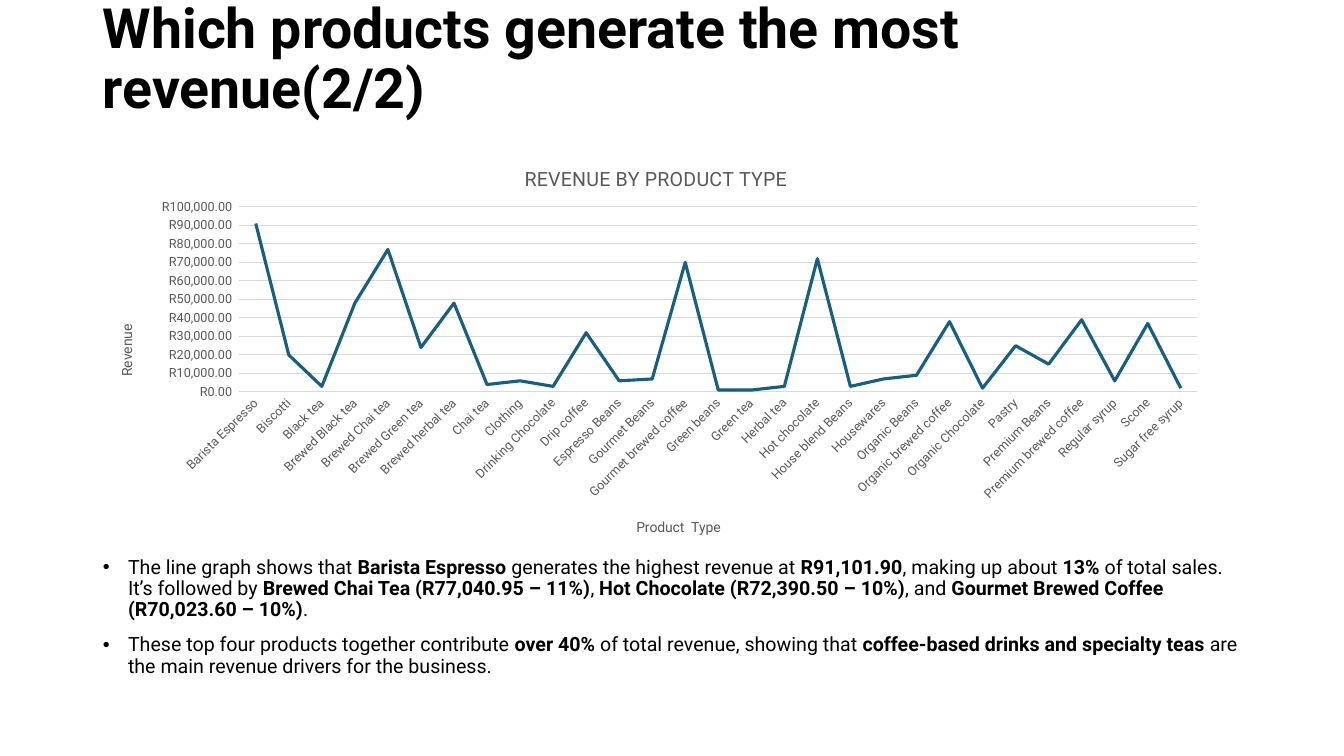
from dataclasses import dataclass
from typing import Any

import lxml.etree
import pptx
import pptx.chart.data
import pptx.dml.color
import pptx.enum.chart
import pptx.enum.text
import pptx.oxml
import pptx.oxml.ns
import pptx.util

WIDE, HIGH = 13.33, 7.5
FACE = "Roboto"
BLACK, GREY, PALE, BLUE = "000000", "595959", "D9D9D9", "156082"


@dataclass(frozen=True)
class Box:
    """Place and size in percent of the slide."""
    left: float
    top: float
    width: float
    height: float

    def lengths(self) -> list[int]:
        return [pptx.util.Inches(share * side / 100) for share, side in
                ((self.left, WIDE), (self.top, HIGH), (self.width, WIDE), (self.height, HIGH))]


@dataclass(frozen=True)
class Label:
    """Chart caption, placed in shares of the chart."""
    text: str
    size: float
    left: float
    top: float
    turn: int = 0


TITLE = "Which products generate the most revenue(2/2)"
TITLE_BOX = Box(6.9, 5.33, 86.25, 13.33)
CHART_BOX = Box(6.9, 18.67, 83.87, 54.4)
BODY_BOX = Box(6.9, 73.07, 86.25, 21.6)

HEAD = Label("REVENUE BY PRODUCT TYPE", 14, 0.38, 0.05)
TYPE = Label("Product  Type", 10, 0.48, 0.91)
MONEY = Label("Revenue", 10, 0.02, 0.44, -90)

# Every second piece of a point is bold
POINTS = [
    ["The line graph shows that ", "Barista Espresso",
     " generates the highest revenue at ", "R91,101.90",
     ", making up about ", "13%", " of total sales. It’s followed by ",
     "Brewed Chai Tea (R77,040.95 – 11%)", ", ",
     "Hot Chocolate (R72,390.50 – 10%)", ", and ",
     "Gourmet Brewed Coffee (R70,023.60 – 10%)", "."],
    ["These top four products together contribute ", "over 40%",
     " of total revenue, showing that ", "coffee-based drinks and specialty teas",
     " are the main revenue drivers for the business."],
]

# Revenue in thousands
SALES = {
    "Barista Espresso": 91, "Biscotti": 20, "Black tea": 3,
    "Brewed Black tea": 48, "Brewed Chai tea": 77, "Brewed Green tea": 24,
    "Brewed herbal tea": 48, "Chai tea": 4, "Clothing": 6,
    "Drinking Chocolate": 3, "Drip coffee": 32, "Espresso Beans": 6,
    "Gourmet Beans": 7, "Gourmet brewed coffee": 70, "Green beans": 1,
    "Green tea": 1, "Herbal tea": 3, "Hot chocolate": 72,
    "House blend Beans": 3, "Housewares": 7, "Organic Beans": 9,
    "Organic brewed coffee": 38, "Organic Chocolate": 2, "Pastry": 25,
    "Premium Beans": 15, "Premium brewed coffee": 39, "Regular syrup": 6,
    "Scone": 37, "Sugar free syrup": 2,
}


def tint(color: Any, code: str) -> None:
    color.rgb = pptx.dml.color.RGBColor.from_string(code)


def dress(font: Any, size: float, code: str) -> None:
    font.name, font.size = FACE, pptx.util.Pt(size)
    tint(font.color, code)


def stroke(line: Any, code: str, width: float) -> None:
    tint(line.color, code)
    line.width = pptx.util.Pt(width)


def place(shape: Any, box: Box) -> None:
    shape.left, shape.top, shape.width, shape.height = box.lengths()


def settle(para: Any, size: float) -> None:
    """Give a paragraph and its runs the slide's text style."""
    para.line_spacing = 0.9
    for part in (para, *para.runs):
        dress(part.font, size, BLACK)


def layout(node: Any, spot: int, **shares: float) -> None:
    """Fix the place of a chart part; spot is its rank among the children."""
    for old in node.findall(pptx.oxml.ns.qn("c:layout")):
        node.remove(old)
    outer = pptx.oxml.parse_xml(f"<c:layout {pptx.oxml.ns.nsdecls('c')}><c:manualLayout/></c:layout>")
    inner = outer[0]
    modes = {"xMode": "edge", "yMode": "edge"}
    if "w" in shares:
        modes = {"layoutTarget": "inner", **modes}
    for tag, value in {**modes, **shares}.items():
        lxml.etree.SubElement(inner, pptx.oxml.ns.qn(f"c:{tag}"), val=str(value))
    node.insert(spot, outer)


def caption(title: Any, label: Label) -> None:
    frame = title.text_frame
    frame.text = label.text
    para = frame.paragraphs[0]
    for part in (para, *para.runs):
        dress(part.font, label.size, GREY)
        part.font.bold = False
    body = frame._txBody.bodyPr
    body.set("rot", str(label.turn * 60000))
    body.set("vert", "horz")
    layout(title._element, 1, x=label.left, y=label.top)


def add_title(slide: Any) -> None:
    shape = slide.shapes.title
    place(shape, TITLE_BOX)
    frame = shape.text_frame
    frame.text = TITLE
    frame.word_wrap = True
    frame.auto_size = pptx.enum.text.MSO_AUTO_SIZE.NONE
    frame.vertical_anchor = pptx.enum.text.MSO_ANCHOR.MIDDLE
    frame.margin_bottom = pptx.util.Inches(0.65)
    para = frame.paragraphs[0]
    para.alignment = pptx.enum.text.PP_ALIGN.LEFT
    settle(para, 39.6)
    for part in (para, *para.runs):
        part.font.bold = True


def add_points(slide: Any) -> None:
    shape = slide.placeholders[1]
    place(shape, BODY_BOX)
    frame = shape.text_frame
    frame.word_wrap = True
    frame.auto_size = pptx.enum.text.MSO_AUTO_SIZE.NONE
    for rank, pieces in enumerate(POINTS):
        para = frame.add_paragraph() if rank else frame.paragraphs[0]
        for turn, piece in enumerate(pieces):
            run = para.add_run()
            run.text = piece
            run.font.bold = turn % 2 == 1
        settle(para, 14)
        para.space_before = pptx.util.Pt(10)
        props = para._p.get_or_add_pPr()
        props.set("marL", str(pptx.util.Inches(0.25)))
        props.set("indent", str(pptx.util.Inches(-0.25)))


def add_graph(slide: Any) -> None:
    data = pptx.chart.data.CategoryChartData()
    data.categories = list(SALES)
    data.add_series("Series 1", [value * 1000 for value in SALES.values()])
    kind = pptx.enum.chart.XL_CHART_TYPE.LINE
    chart = slide.shapes.add_chart(kind, *CHART_BOX.lengths(), data).chart
    dress(chart.font, 10, BLACK)
    chart.has_legend = False
    chart.has_title = True
    caption(chart.chart_title, HEAD)
    layout(chart._chartSpace.chart.plotArea, 0, x=0.13, y=0.16, w=0.85, h=0.45)

    # Line
    plot = chart.plots[0]
    plot.vary_by_categories = False
    line = plot.series[0]
    line.smooth = False
    line.marker.style = pptx.enum.chart.XL_MARKER_STYLE.NONE
    stroke(line.format.line, BLUE, 2.25)

    # Axes
    types, money = chart.category_axis, chart.value_axis
    for axis, label in ((types, TYPE), (money, MONEY)):
        dress(axis.tick_labels.font, 9, GREY)
        axis.major_tick_mark = axis.minor_tick_mark = pptx.enum.chart.XL_TICK_MARK.NONE
        caption(axis.axis_title, label)
    stroke(types.format.line, PALE, 0.75)
    types._element.txPr.bodyPr.set("rot", str(-45 * 60000))
    money.format.line.fill.background()
    stroke(money.major_gridlines.format.line, PALE, 0.75)
    money.minimum_scale, money.maximum_scale, money.major_unit = 0, 100000, 10000
    money.tick_labels.number_format = r'"R"#,##0.00_);[Red]\("R"#,##0.00\)'
    money.tick_labels.number_format_is_linked = False


def main() -> None:
    deck = pptx.Presentation()
    deck.slide_width, deck.slide_height = pptx.util.Inches(WIDE), pptx.util.Inches(HIGH)
    slide = deck.slides.add_slide(deck.slide_layouts[1])
    add_title(slide)
    add_points(slide)
    add_graph(slide)
    deck.save("out.pptx")


if __name__ == "__main__":
    main()
